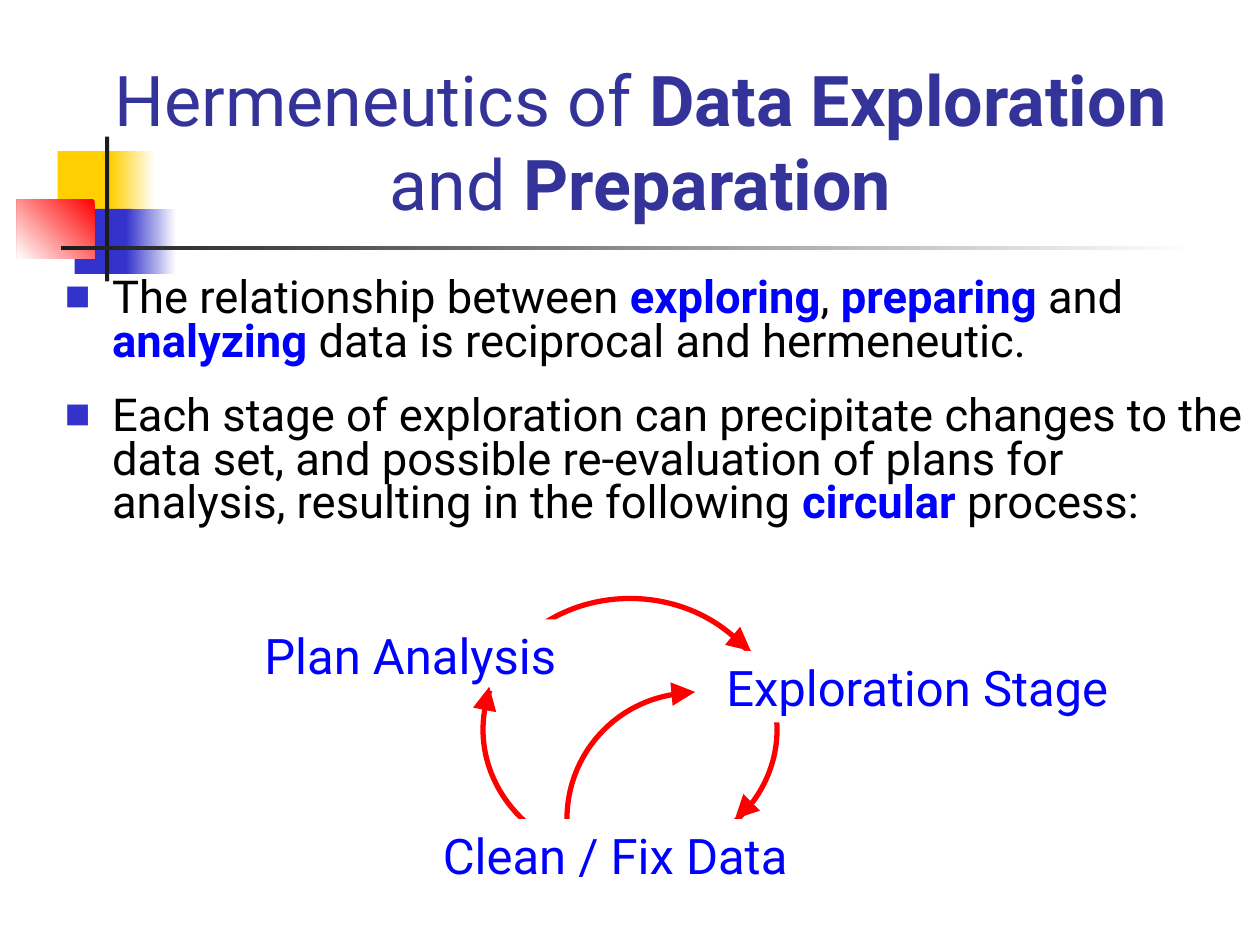
from dataclasses import dataclass

from lxml import etree
from pptx import Presentation, util as u
from pptx.dml.color import RGBColor
from pptx.enum import shapes, text
from pptx.oxml.ns import qn


@dataclass(frozen=True)
class Theme:
    font: str = "Roboto"
    title: str = "333399"
    body: str = "000000"
    key: str = "0000FF"
    bullet: str = "3333CC"
    arrow: str = "FF0000"
    yellow: str = "FFCF01"
    dark: str = "1C1C1C"
    white: str = "FFFFFF"
    title_size: float = 40
    body_size: float = 25.9
    label_size: float = 28
    curve_width: float = 3
    head_width: float = 4.5


class Sheet:
    """Draws on one slide; all lengths are cells of a 120 by 90 grid."""

    def __init__(self, deck, theme):
        self.theme = theme
        self.cell = deck.slide_width / 120
        self.slide = deck.slides.add_slide(deck.slide_layouts[5])

    def cells(self, *lengths):
        return [u.Emu(round(length * self.cell)) for length in lengths]

    def color(self, name):
        return RGBColor.from_string(getattr(self.theme, name))

    def style(self, para, size, color):
        para.font.name = self.theme.font
        para.font.size = u.Pt(size)
        para.font.color.rgb = self.color(color)

    def add_spans(self, para, marked, key_color=None):
        """Set the parts between asterisks in bold."""
        for index, part in enumerate(marked.split("*")):
            span = para.add_run()
            span.text = part
            if index % 2:
                span.font.bold = True
                if key_color:
                    span.font.color.rgb = self.color(key_color)

    def title(self, marked, *place):
        box = self.slide.shapes.title
        box.left, box.top, box.width, box.height = self.cells(*place)
        frame = box.text_frame
        frame.auto_size = text.MSO_AUTO_SIZE.NONE
        frame.vertical_anchor = text.MSO_ANCHOR.BOTTOM
        para = frame.paragraphs[0]
        para.alignment = text.PP_ALIGN.CENTER
        self.style(para, self.theme.title_size, "title")
        self.add_spans(para, marked)

    def bullets(self, items, *place):
        frame = self.slide.shapes.add_textbox(*self.cells(*place)).text_frame
        frame.word_wrap = True
        for index, item in enumerate(items):
            para = frame.add_paragraph() if index else frame.paragraphs[0]
            para.line_spacing = 0.8
            para.space_after = u.Pt(17.5)
            self.bullet(para)
            self.style(para, self.theme.body_size, "body")
            self.add_spans(para, item, "key")

    def bullet(self, para):
        props = para._p.get_or_add_pPr()
        indent = u.Inches(0.375)
        props.set("marL", str(indent))
        props.set("indent", str(-indent))
        color = etree.SubElement(props, qn("a:buClr"))
        etree.SubElement(color, qn("a:srgbClr"), val=self.theme.bullet)
        etree.SubElement(props, qn("a:buSzPct"), val="60000")
        etree.SubElement(props, qn("a:buFont"), typeface=self.theme.font)
        etree.SubElement(props, qn("a:buChar"), char="■")

    def block(self, color, *place, fade=None):
        """A plain rectangle, or one fading to white at the given angle."""
        shape = self.slide.shapes.add_shape(
            shapes.MSO_SHAPE.RECTANGLE, *self.cells(*place))
        shape.shadow.inherit = False
        shape.line.fill.background()
        if fade is None:
            shape.fill.solid()
            shape.fill.fore_color.rgb = self.color(color)
        else:
            shape.fill.gradient()
            shape.fill.gradient_angle = fade
            for stop, name in zip(shape.fill.gradient_stops, (color, "white")):
                stop.color.rgb = self.color(name)

    def curve(self, kind, *place, angles=()):
        shape = self.slide.shapes.add_shape(kind, *self.cells(*place))
        shape.shadow.inherit = False
        shape.fill.background()
        shape.line.color.rgb = self.color("arrow")
        shape.line.width = u.Pt(self.theme.curve_width)
        for index, degrees in enumerate(angles):
            # an angle counts 60000 per degree, an adjustment 100000 per unit
            shape.adjustments[index] = degrees * 0.6

    def label(self, words, *place):
        box = self.slide.shapes.add_textbox(*self.cells(*place))
        box.fill.solid()
        box.fill.fore_color.rgb = self.color("white")
        box.text_frame.word_wrap = True
        para = box.text_frame.paragraphs[0]
        para.text = words
        self.style(para, self.theme.label_size, "key")

    def arrowhead(self, *ends):
        line = self.slide.shapes.add_connector(
            shapes.MSO_CONNECTOR.STRAIGHT, *self.cells(*ends))
        line.line.color.rgb = self.color("arrow")
        line.line.width = u.Pt(self.theme.head_width)
        etree.SubElement(line.line._get_or_add_ln(), qn("a:tailEnd"),
                         type="triangle")
        etree.SubElement(line._element.spPr, qn("a:effectLst"))


def main():
    deck = Presentation()
    deck.slide_width, deck.slide_height = u.Inches(10), u.Inches(7.5)
    sheet = Sheet(deck, Theme())

    # Corner ornament and rule
    sheet.block("yellow", 5.5, 14.4, 5.8, 6.2)
    sheet.block("yellow", 10.5, 14.4, 4.3, 6.2, fade=0)
    sheet.block("bullet", 7.1, 19.9, 5.5, 6.2)
    sheet.block("bullet", 12, 19.9, 4.8, 6.2, fade=0)
    sheet.block("arrow", 1.6, 19, 7.4, 5.6, fade=225)
    sheet.block("dark", 10, 13, 0.4, 13.8)
    sheet.block("dark", 5.8, 23.4, 108, 0.4, fade=0)

    # Title and statements
    sheet.title("Hermeneutics of *Data Exploration* and *Preparation*",
                6, 2.8, 110, 19.2)
    sheet.bullets([
        "The relationship between *exploring*, *preparing* and *analyzing* "
        "data is reciprocal and hermeneutic.",
        "Each stage of exploration can precipitate changes to the data set, "
        "and possible re-evaluation of plans for analysis, resulting in the "
        "following *circular* process:",
    ], 5, 26, 115, 31)

    # Cycle: the labels cover parts of the ring
    sheet.curve(shapes.MSO_SHAPE.OVAL, 46, 57, 28, 25)
    sheet.label("Exploration Stage", 68, 62, 41, 6.8)
    sheet.label("Clean / Fix Data", 41, 78, 40, 6.8)
    sheet.label("Plan Analysis", 24, 59, 31, 6.8)
    sheet.curve(shapes.MSO_SHAPE.ARC, 54, 66, 24, 24, angles=(180, 261.5))

    # Arrowheads on the ring and the inner arc
    for ends in ((70.3, 61, 71.5, 62), (71, 77, 70, 78),
                 (46.2, 67.4, 46.6, 65.4), (64, 66.1, 66.2, 65.9)):
        sheet.arrowhead(*ends)

    deck.save("out.pptx")


if __name__ == "__main__":
    main()
